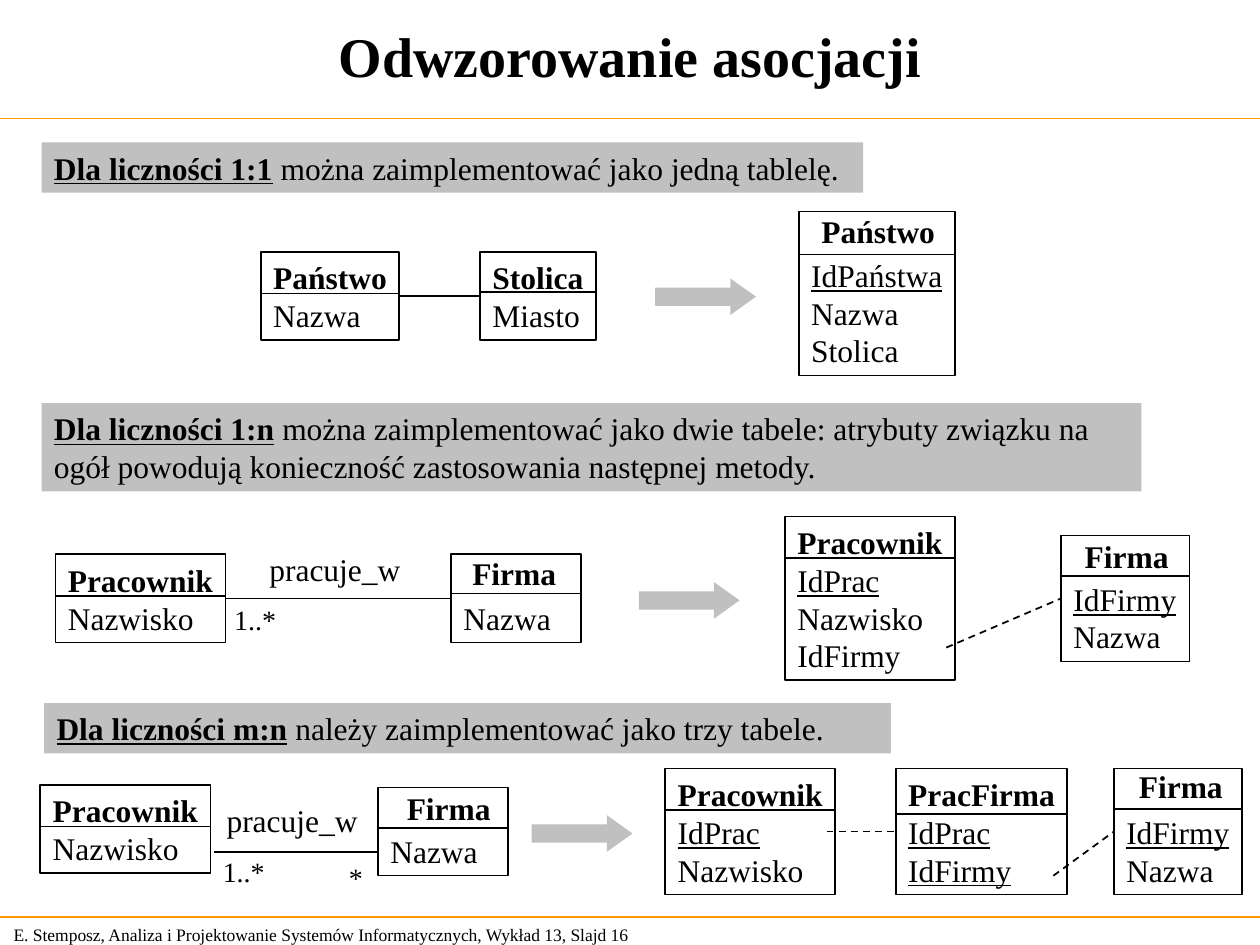
import pptx
import pptx.util
import pptx.dml.color
import pptx.enum.dml
import pptx.enum.shapes
import pptx.enum.text
from lxml import etree

Inches = pptx.util.Inches
Pt = pptx.util.Pt
Anchor = pptx.enum.text.MSO_ANCHOR
Align = pptx.enum.text.PP_ALIGN
Shapes = pptx.enum.shapes.MSO_SHAPE

FONT = "Times New Roman"
COLORS = {"text": "000000", "band": "C0C0C0", "rule": "FF9900", "paper": "FFFFFF"}
LEFT_SIDE, RIGHT_SIDE = 1, 3

TITLE = "Odwzorowanie asocjacji"
FOOTER = "E. Stemposz, Analiza i Projektowanie Systemów Informatycznych, Wykład 13, Slajd 16"
RULES_Y = [0.94, 7.28]

BANDS = [
    ((0.33, 1.13, 6.52, 0.4), "Dla liczności 1:1", " można zaimplementować jako jedną tablelę."),
    ((0.33, 3.2, 8.73, 0.7), "Dla liczności 1:n",
     " można zaimplementować jako dwie tabele: atrybuty związku na ogół powodują "
     "konieczność zastosowania następnej metody."),
    ((0.35, 5.58, 6.72, 0.4), "Dla liczności m:n", " należy zaimplementować jako trzy tabele."),
]

ARROWS = [(5.2, 2.21), (5.07, 4.62), (4.22, 6.47)]

# name: (box, divider y, heading, key count, attributes, place of a separate heading)
ENTITIES = {
    "country": ((2.07, 2, 1.1, 0.7), 2.33, "Państwo", 0, ["Nazwa"], None),
    "capital": ((3.81, 2, 0.92, 0.7), 2.32, "Stolica", 0, ["Miasto"], None),
    "country table": ((6.34, 1.68, 1.24, 1.3), 2.02, "Państwo", 1,
                      ["IdPaństwa", "Nazwa", "Stolica"], (6.42, 1.63, 1.12, 0.4)),
    "worker 1:n": ((0.44, 4.4, 1.35, 0.7), 4.73, "Pracownik", 0, ["Nazwisko"], None),
    "company 1:n": ((3.58, 4.4, 1.03, 0.7), 4.71, "Firma", 0, ["Nazwa"], (3.65, 4.35, 0.92, 0.4)),
    "worker table 1:n": ((6.23, 4.1, 1.35, 1.3), 4.43, "Pracownik", 1,
                         ["IdPrac", "Nazwisko", "IdFirmy"], None),
    "company table 1:n": ((8.42, 4.25, 1.02, 1), 4.57, "Firma", 1,
                          ["IdFirmy", "Nazwa"], (8.51, 4.21, 0.92, 0.4)),
    "worker m:n": ((0.32, 6.23, 1.35, 0.7), 6.56, "Pracownik", 0, ["Nazwisko"], None),
    "company m:n": ((3, 6.25, 1.03, 0.7), 6.57, "Firma", 0, ["Nazwa"], (3.13, 6.21, 0.92, 0.4)),
    "worker table m:n": ((5.28, 6.1, 1.35, 1), 6.43, "Pracownik", 1, ["IdPrac", "Nazwisko"], None),
    "link table": ((7.11, 6.1, 1.36, 1), 6.46, "PracFirma", 2, ["IdPrac", "IdFirmy"], None),
    "company table m:n": ((8.84, 6.1, 1.02, 1), 6.42, "Firma", 1,
                          ["IdFirmy", "Nazwa"], (8.94, 6.04, 0.92, 0.4)),
}

ASSOCIATIONS = [("country", "capital"), ("worker 1:n", "company 1:n")]
LOOSE_ASSOCIATION = ((1.7, 6.76), (3, 6.76))
REFERENCES = [
    ((7.51, 5.14), "company table 1:n"),
    ((6.56, 6.6), "link table"),
    ((8.36, 6.95), "company table m:n"),
]

LABELS = [
    ("pracuje_w", 18, (2.04, 4.32, 1.24, 0.4)),
    ("1..*", 16, (1.76, 4.73, 0.53, 0.37)),
    ("pracuje_w", 18, (1.7, 6.31, 1.24, 0.4)),
    ("1..*", 16, (1.67, 6.73, 0.53, 0.37)),
    ("*", 16, (2.67, 6.78, 0.31, 0.37)),
]


def rgb(name):
    return pptx.dml.color.RGBColor.from_string(COLORS[name])


def style(font, size=18, bold=False, underline=False):
    font.name = FONT
    font.size = Pt(size)
    font.bold = bold
    font.underline = underline
    font.color.rgb = rgb("text")


def add_box(slide, box, kind=Shapes.RECTANGLE, fill="paper", outlined=False):
    shape = slide.shapes.add_shape(kind, *map(Inches, box))
    shape.shadow.inherit = False
    shape.fill.solid()
    shape.fill.fore_color.rgb = rgb(fill)
    if outlined:
        shape.line.color.rgb = rgb("text")
        shape.line.width = Pt(1)
    else:
        shape.line.fill.background()
    return shape


def add_text(slide, text, box, size=18, bold=False, align=Align.LEFT, anchor=Anchor.TOP, wrap=False):
    frame = slide.shapes.add_textbox(*map(Inches, box)).text_frame
    frame.word_wrap = wrap
    frame.vertical_anchor = anchor
    paragraph = frame.paragraphs[0]
    paragraph.text = text
    paragraph.alignment = align
    style(paragraph.font, size, bold)


def add_line(slide, start, end, color="text", dashed=False):
    line = slide.shapes.add_connector(
        pptx.enum.shapes.MSO_CONNECTOR.STRAIGHT, *map(Inches, (*start, *end)))
    line.line.color.rgb = rgb(color)
    line.line.width = Pt(1)
    if dashed:
        line.line.dash_style = pptx.enum.dml.MSO_LINE.DASH
    etree.SubElement(line._element.spPr, pptx.oxml.ns.qn("a:effectLst"))
    return line


def add_band(slide, box, lead, rest):
    frame = add_box(slide, box, fill="band").text_frame
    frame.word_wrap = True
    frame.vertical_anchor = Anchor.TOP
    paragraph = frame.paragraphs[0]
    paragraph.alignment = Align.LEFT
    for text, strong in ((lead, True), (rest, False)):
        run = paragraph.add_run()
        run.text = text
        style(run.font, bold=strong, underline=strong)


def add_entity(slide, box, divider, heading, keys, attributes, heading_box):
    shape = add_box(slide, box, outlined=True)
    frame = shape.text_frame
    frame.word_wrap = False
    frame.vertical_anchor = Anchor.BOTTOM
    rows = [(name, False, index < keys) for index, name in enumerate(attributes)]
    if heading_box:
        add_text(slide, heading, heading_box, bold=True)
    else:
        rows.insert(0, (heading, True, False))
    for index, (text, bold, underline) in enumerate(rows):
        paragraph = frame.add_paragraph() if index else frame.paragraphs[0]
        paragraph.text = text
        paragraph.alignment = Align.LEFT
        style(paragraph.font, bold=bold, underline=underline)
    left, width = box[0], box[2]
    add_line(slide, (left, divider), (left + width, divider))
    return shape


def main():
    presentation = pptx.Presentation()
    presentation.slide_width = Inches(10)
    presentation.slide_height = Inches(7.5)
    slide = presentation.slides.add_slide(presentation.slide_layouts[6])

    add_text(slide, FOOTER, (0.01, 7.28, 5.24, 0.27), size=10, anchor=Anchor.MIDDLE)
    for y in RULES_Y:
        add_line(slide, (0, y), (10, y), "rule")
    add_text(slide, TITLE, (0, -0.02, 10, 0.92), 32, True, Align.CENTER, Anchor.MIDDLE, True)

    for band in BANDS:
        add_band(slide, *band)
    for left, top in ARROWS:
        arrow = add_box(slide, (left, top, 0.8, 0.29), Shapes.RIGHT_ARROW, "band")
        arrow.adjustments[1] = 0.7

    entities = {name: add_entity(slide, *entity) for name, entity in ENTITIES.items()}

    for source, target in ASSOCIATIONS:
        line = add_line(slide, (0, 0), (1, 1))
        line.begin_connect(entities[source], RIGHT_SIDE)
        line.end_connect(entities[target], LEFT_SIDE)
    add_line(slide, *LOOSE_ASSOCIATION)
    for start, target in REFERENCES:
        line = add_line(slide, start, start, dashed=True)
        line.end_connect(entities[target], LEFT_SIDE)

    for text, size, box in LABELS:
        add_text(slide, text, box, size)

    presentation.save("out.pptx")


if __name__ == "__main__":
    main()
